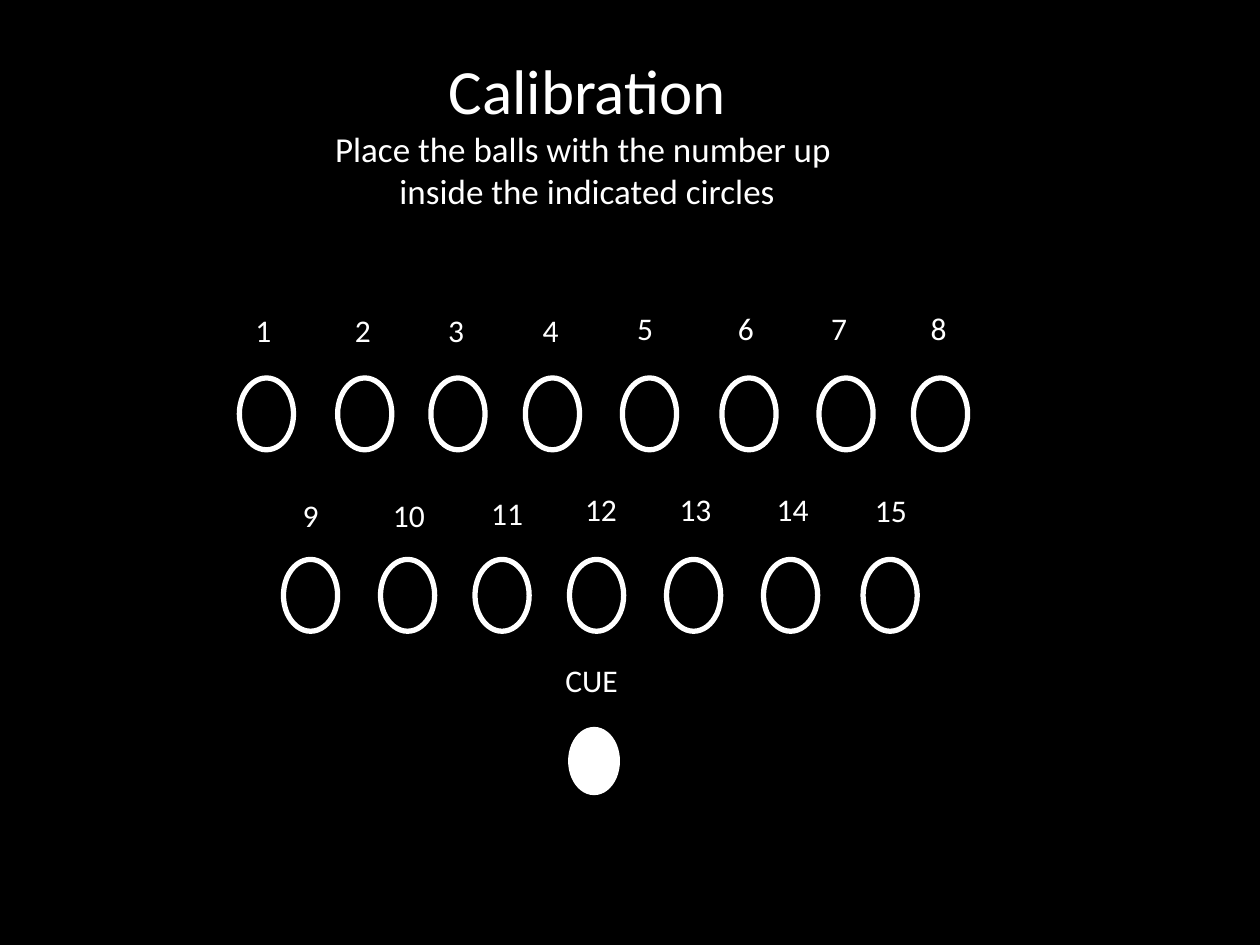
from pptx import Presentation
from pptx import util as u
from pptx.dml.color import RGBColor
from pptx.enum import shapes, text

BLACK = RGBColor(0x00, 0x00, 0x00)
WHITE = RGBColor(0xFF, 0xFF, 0xFF)

BALL_SIZE = (0.43, 0.57)
CUE_SIZE = (0.37, 0.5)
LABEL_HEIGHT = 0.4

# Each ball: number, ball left, label left, label top, label width
UPPER_ROW_TOP = 3
UPPER_ROW = [
    ("1", 1.9, 1.89, 2.42, 0.4),
    ("2", 2.68, 2.68, 2.42, 0.4),
    ("3", 3.42, 3.42, 2.42, 0.4),
    ("4", 4.17, 4.17, 2.42, 0.4),
    ("5", 4.94, 4.92, 2.4, 0.4),
    ("6", 5.73, 5.72, 2.4, 0.4),
    ("7", 6.5, 6.46, 2.4, 0.4),
    ("8", 7.25, 7.25, 2.4, 0.4),
]
LOWER_ROW_TOP = 4.44
LOWER_ROW = [
    ("9", 2.25, 2.23, 3.89, 0.47),
    ("10", 3.02, 2.93, 3.89, 0.63),
    ("11", 3.77, 3.5, 3.87, 1.05),
    ("12", 4.52, 4.38, 3.84, 0.78),
    ("13", 5.29, 5.13, 3.84, 0.78),
    ("14", 6.06, 5.9, 3.84, 0.78),
    ("15", 6.85, 6.68, 3.85, 0.78),
]


class CalibrationSlide:
    font = "Calibri"
    outline = u.Pt(3)

    def __init__(self, prs):
        self.slide = prs.slides.add_slide(prs.slide_layouts[6])
        background = self.slide.background.fill
        background.solid()
        background.fore_color.rgb = BLACK

    def text(self, left, top, width, height, lines):
        """Add centred white lines, each given as (wording, point size)."""
        box = self.slide.shapes.add_textbox(
            *map(u.Inches, (left, top, width, height)))
        frame = box.text_frame
        frame.word_wrap = True
        frame.auto_size = text.MSO_AUTO_SIZE.SHAPE_TO_FIT_TEXT
        for i, (wording, size) in enumerate(lines):
            line = frame.add_paragraph() if i else frame.paragraphs[0]
            line.text = wording
            line.alignment = text.PP_ALIGN.CENTER
            line.font.name = self.font
            line.font.size = u.Pt(size)
            line.font.color.rgb = WHITE

    def label(self, wording, left, top, width):
        self.text(left, top, width, LABEL_HEIGHT, [(wording, 18)])

    def ball(self, left, top, size=BALL_SIZE, filled=False):
        circle = self.slide.shapes.add_shape(
            shapes.MSO_SHAPE.OVAL, *map(u.Inches, (left, top, *size)))
        circle.shadow.inherit = False
        circle.line.color.rgb = WHITE
        circle.line.width = self.outline
        if filled:
            circle.fill.solid()
            circle.fill.fore_color.rgb = WHITE
        else:
            circle.fill.background()


def main():
    prs = Presentation()
    prs.slide_width = u.Inches(10)
    prs.slide_height = u.Inches(7.5)
    table = CalibrationSlide(prs)

    table.text(1.89, 0.36, 5.54, 1.38, [
        ("Calibration", 36),
        ("Place the balls with the number up ", 20),
        ("inside the indicated circles", 20),
    ])
    for row_top, row in ((UPPER_ROW_TOP, UPPER_ROW), (LOWER_ROW_TOP, LOWER_ROW)):
        for number, ball_left, label_left, label_top, label_width in row:
            table.ball(ball_left, row_top)
            table.label(number, label_left, label_top, label_width)
    table.ball(4.53, 5.79, CUE_SIZE, filled=True)
    table.label("CUE", 4.36, 5.2, 0.67)

    prs.save("out.pptx")


if __name__ == "__main__":
    main()
